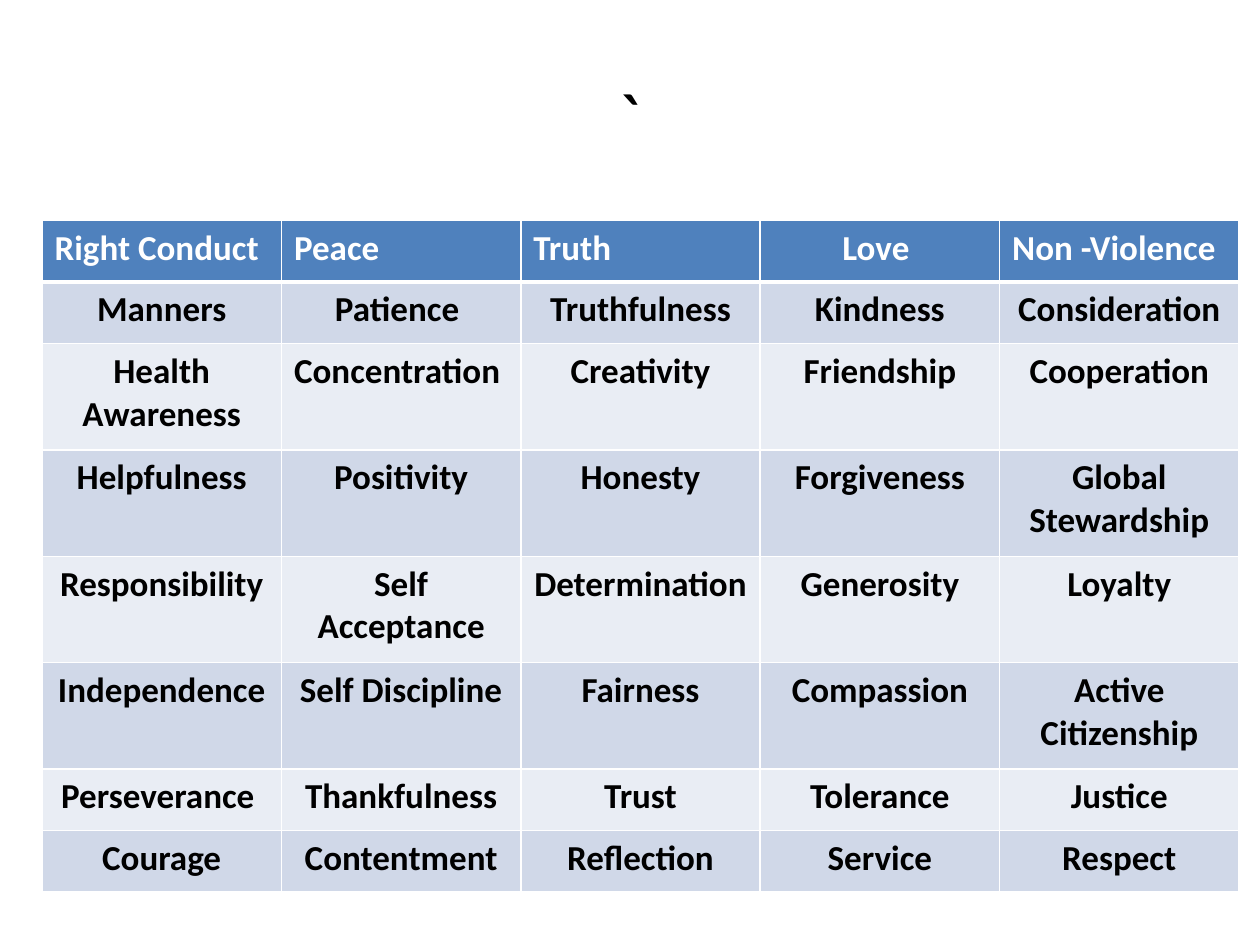
from dataclasses import dataclass

from lxml.etree import SubElement
from pptx import Presentation
from pptx.dml.color import RGBColor
from pptx.enum.text import MSO_ANCHOR, PP_ALIGN as Align
from pptx.oxml.ns import qn
from pptx.util import Pt


@dataclass(frozen=True)
class Theme:
    font: str = "Calibri"
    title_size: float = 44
    table_size: float = 20
    text: str = "000000"
    header_text: str = "FFFFFF"
    header_fill: str = "4F81BD"
    band_fills: tuple = ("D0D8E8", "E9EDF4")
    border: str = "FFFFFF"
    thin: float = 1
    thick: float = 3


VALUES = [
    ["Right Conduct", "Peace", "Truth", "Love ", "Non -Violence"],
    ["Manners", "Patience ", "Truthfulness", "Kindness", "Consideration"],
    ["Health Awareness", "Concentration ", "Creativity", "Friendship", "Cooperation"],
    ["Helpfulness", "Positivity", "Honesty", "Forgiveness", "Global Stewardship"],
    ["Responsibility", "Self Acceptance", "Determination ", "Generosity", "Loyalty"],
    ["Independence", "Self Discipline", "Fairness", "Compassion", "Active Citizenship"],
    ["Perseverance ", "Thankfulness", "Trust", "Tolerance", "Justice"],
    ["Courage", "Contentment", "Reflection", "Service", "Respect"],
]
ONE_LINE, TWO_LINES = 35.2, 60.8
ROW_HEIGHTS = [ONE_LINE] * 2 + [TWO_LINES] * 4 + [ONE_LINE] * 2
CENTERED_HEADER = 3


class SlideBuilder:
    def __init__(self, slide, theme):
        self.slide = slide
        self.theme = theme

    def style(self, para, size, color, align, bold=False):
        para.alignment = align
        font = para.font
        font.name, font.size, font.bold = self.theme.font, Pt(size), bold
        font.color.rgb = RGBColor.from_string(color)

    def title(self, text, left, top, width, height):
        box = self.slide.shapes.title
        box.left, box.top = Pt(left), Pt(top)
        box.width, box.height = Pt(width), Pt(height)
        frame = box.text_frame
        frame.text = text
        frame.vertical_anchor = MSO_ANCHOR.MIDDLE
        self.style(frame.paragraphs[0], self.theme.title_size, self.theme.text, Align.CENTER)

    def borders(self, cell, row):
        """Draw thin cell borders, with a thick rule below the header row."""
        theme = self.theme
        widths = {
            "L": theme.thin,
            "R": theme.thin,
            "T": theme.thick if row == 1 else theme.thin,
            "B": theme.thick if row == 0 else theme.thin,
        }
        properties = cell._tc.get_or_add_tcPr()
        for side, width in widths.items():
            line = SubElement(properties, qn(f"a:ln{side}"), w=str(Pt(width)))
            fill = SubElement(line, qn("a:solidFill"))
            SubElement(fill, qn("a:srgbClr"), val=theme.border)

    def cell(self, cell, text, row, column):
        theme = self.theme
        header = row == 0
        cell.text = text
        align = Align.LEFT if header and column != CENTERED_HEADER else Align.CENTER
        color = theme.header_text if header else theme.text
        self.style(cell.text_frame.paragraphs[0], theme.table_size, color, align, bold=True)
        self.borders(cell, row)
        cell.fill.solid()
        band = theme.band_fills[(row - 1) % 2]
        cell.fill.fore_color.rgb = RGBColor.from_string(theme.header_fill if header else band)

    def table(self, values, row_heights, left, top, width):
        columns = len(values[0])
        frame = self.slide.shapes.add_table(
            len(values), columns, Pt(left), Pt(top), Pt(width), Pt(sum(row_heights))
        )
        table = frame.table
        for column in table.columns:
            column.width = Pt(width / columns)
        for row, (texts, height) in enumerate(zip(values, row_heights)):
            table.rows[row].height = Pt(height)
            for column, text in enumerate(texts):
                self.cell(table.cell(row, column), text, row, column)


def main():
    deck = Presentation()
    deck.slide_width, deck.slide_height = Pt(720), Pt(540)
    title_only = deck.slide_layouts[5]
    page = SlideBuilder(deck.slides.add_slide(title_only), Theme())
    page.title("`", 36, 21.6, 648, 90)
    page.table(VALUES, ROW_HEIGHTS, 24, 126, 684)
    deck.save("out.pptx")


if __name__ == "__main__":
    main()
